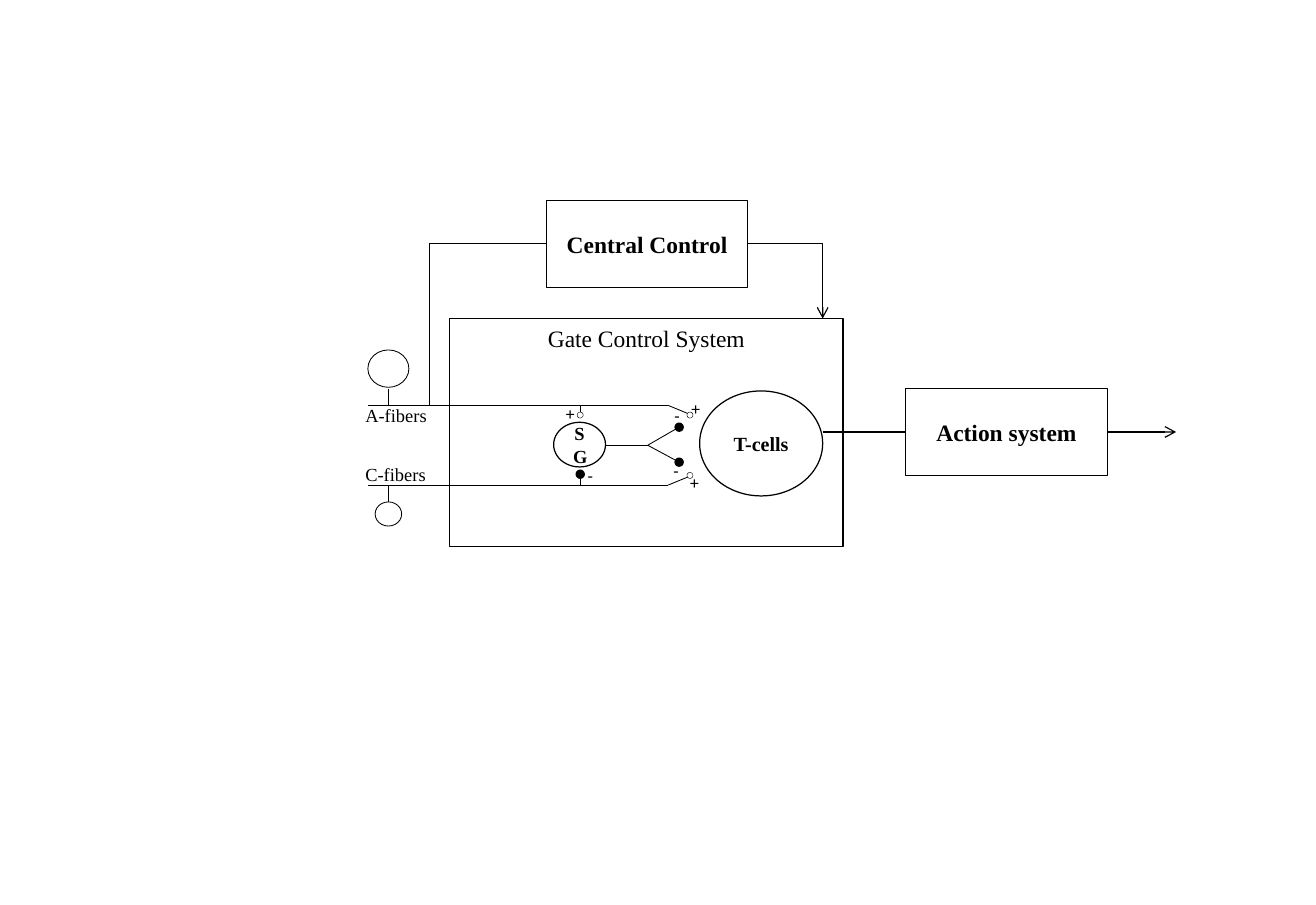
from dataclasses import dataclass

from lxml.etree import SubElement
from pptx import Presentation
from pptx.dml.color import RGBColor
from pptx.enum.shapes import MSO_CONNECTOR as Route, MSO_SHAPE as Preset
from pptx.enum.text import MSO_ANCHOR as Anchor, MSO_AUTO_SIZE as AutoSize, PP_ALIGN as Align
from pptx.oxml.ns import qn
from pptx.util import Inches, Pt


@dataclass(frozen=True)
class Theme:
    ink: RGBColor = RGBColor(0, 0, 0)
    paper: RGBColor = RGBColor(255, 255, 255)
    serif: str = "Times New Roman"
    sans: str = "Calibri"
    heading: float = 14
    cell: float = 12
    label: float = 11
    sign: float = 10.5
    bold_line: float = 2
    line: float = 0.75
    thin: float = 0.5
    hairline: float = 0.25


class Diagram:
    """Draws on a grid whose columns and rows are a tenth of an inch."""

    def __init__(self, slide, theme):
        self.shapes = slide.shapes
        self.theme = theme

    def grid(self, *cells):
        return [Inches(cell / 10) for cell in cells]

    def add_words(self, paragraph, text, size, font, bold=False):
        run = paragraph.add_run()
        run.text = text
        run.font.size, run.font.name, run.font.bold = Pt(size), font, bold
        run.font.color.rgb = self.theme.ink

    def outline(self, preset, box, weight, fill=None):
        shape = self.shapes.add_shape(preset, *self.grid(*box))
        shape.shadow.inherit = False
        shape.line.color.rgb = self.theme.ink
        shape.line.width = Pt(weight)
        if fill is None:
            shape.fill.background()
        else:
            shape.fill.solid()
            shape.fill.fore_color.rgb = fill
        return shape

    def block(self, preset, box, text, size, bold=True, fill=None, anchor=Anchor.MIDDLE):
        shape = self.outline(preset, box, self.theme.line, fill)
        shape.text_frame.vertical_anchor = anchor
        paragraph = shape.text_frame.paragraphs[0]
        paragraph.alignment = Align.CENTER
        self.add_words(paragraph, text, size, self.theme.serif, bold)
        return shape

    def synapse(self, col, row, inhibits):
        fill, weight = ((self.theme.ink, self.theme.bold_line) if inhibits
                        else (self.theme.paper, self.theme.hairline))
        self.outline(Preset.OVAL, (col - 0.25, row - 0.25, 0.5, 0.5), weight, fill)

    def label(self, box, text, size, font, wrap):
        frame = self.shapes.add_textbox(*self.grid(*box)).text_frame
        frame.word_wrap = wrap
        frame.auto_size = AutoSize.SHAPE_TO_FIT_TEXT
        self.add_words(frame.paragraphs[0], text, size, font)

    def link(self, start, end, weight, arrow=False, bent=False, leaves=None, enters=None):
        route = Route.ELBOW if bent else Route.STRAIGHT
        connector = self.shapes.add_connector(route, *self.grid(*start, *end))
        connector.line.color.rgb = self.theme.ink
        connector.line.width = Pt(weight)
        if leaves:
            connector.begin_connect(*leaves)
        if enters:
            connector.end_connect(*enters)
        properties = connector._element.spPr
        if bent:
            properties.find(qn("a:prstGeom")).set("prst", "bentConnector2")
        if arrow:
            SubElement(properties.find(qn("a:ln")), qn("a:tailEnd"), type="arrow")
        SubElement(properties, qn("a:effectLst"))


def main():
    deck = Presentation()
    deck.slide_width, deck.slide_height = Inches(10.91), Inches(7.5)
    theme = Theme()
    diagram = Diagram(deck.slides.add_slide(deck.slide_layouts[6]), theme)

    a_row, c_row = 33.6, 40.2
    soma_col, fiber_start, fiber_end = 32.2, 30.5, 55.4
    sg_col, sg_row, fork_col = 48.1, 36.9, 53.7
    control_row, output_row, branch_col = 20.2, 35.8, 35.6

    # Systems and cells
    diagram.block(Preset.RECTANGLE, (37.3, 26.4, 32.6, 18.9), "Gate Control System",
                  theme.heading, bold=False, fill=theme.paper, anchor=Anchor.TOP)
    central = diagram.block(Preset.RECTANGLE, (45.3, control_row - 3.6, 16.7, 7.2),
                            "Central Control", theme.heading)
    action = diagram.block(Preset.RECTANGLE, (75.1, output_row - 3.6, 16.7, 7.2),
                           "Action system", theme.heading)
    diagram.block(Preset.OVAL, (45.9, 35, 4.3, 3.7), "SG", theme.label)
    diagram.block(Preset.OVAL, (58, 32.4, 10.2, 8.7), "T-cells", theme.cell)

    # Fibers: name, axon row, cell body, stem, tip row, name row
    fibers = [
        ("A-fibers", a_row, (30.5, 29, 3.4, 3.1), (32.2, a_row), 34.3, 33),
        ("C-fibers", c_row, (31.1, 41.6, 2.2, 2), (c_row, 41.6), 39.5, 37.9),
    ]
    for name, row, soma, (stem_top, stem_bottom), tip_row, name_row in fibers:
        diagram.outline(Preset.OVAL, soma, theme.thin)
        diagram.link((soma_col, stem_top), (soma_col, stem_bottom), theme.line)
        diagram.link((fiber_start, row), (fiber_end, row), theme.thin)
        diagram.link((fiber_end, row), (57.1, tip_row), theme.thin)
        diagram.label((29.3, name_row, 7.1, 2.9), name, theme.label, theme.serif, wrap=False)

    # SG inputs and forked output
    diagram.link((sg_col, a_row), (sg_col, 34.6), theme.line)
    diagram.link((sg_col, 39.3), (sg_col, c_row), theme.line)
    diagram.link((50.2, sg_row), (fork_col, sg_row), theme.thin)
    for branch_row in (35.4, 38.3):
        diagram.link((fork_col, sg_row), (56.3, branch_row), theme.thin)

    # Synapses with their signs
    synapses = [
        ("+", (sg_col, 34.4), (46.1, 32.9)),
        ("-", (sg_col, 39.3), (47.9, 38)),
        ("+", (57.2, 34.4), (56.5, 32.5)),
        ("-", (56.3, 35.4), (55.1, 33.1)),
        ("-", (56.3, 38.3), (55, 37.6)),
        ("+", (57.2, 39.4), (56.4, 38.6)),
    ]
    for sign, center, corner in synapses:
        diagram.synapse(*center, inhibits=sign == "-")
        diagram.label((*corner, 1.8, 2.9), sign, theme.sign, theme.sans, wrap=True)

    # Output path
    diagram.link((68.2, output_row), (75.1, output_row), theme.line, enters=(action, 1))
    diagram.link((91.8, output_row), (97.5, output_row), theme.line, arrow=True,
                 leaves=(action, 3))

    # Central control loop
    diagram.link((branch_col, a_row), (branch_col, control_row), theme.line)
    diagram.link((branch_col, control_row), (45.3, control_row), theme.line,
                 enters=(central, 1))
    diagram.link((62, control_row), (68.2, 26.4), theme.line, arrow=True, bent=True)

    deck.save("out.pptx")


if __name__ == "__main__":
    main()
